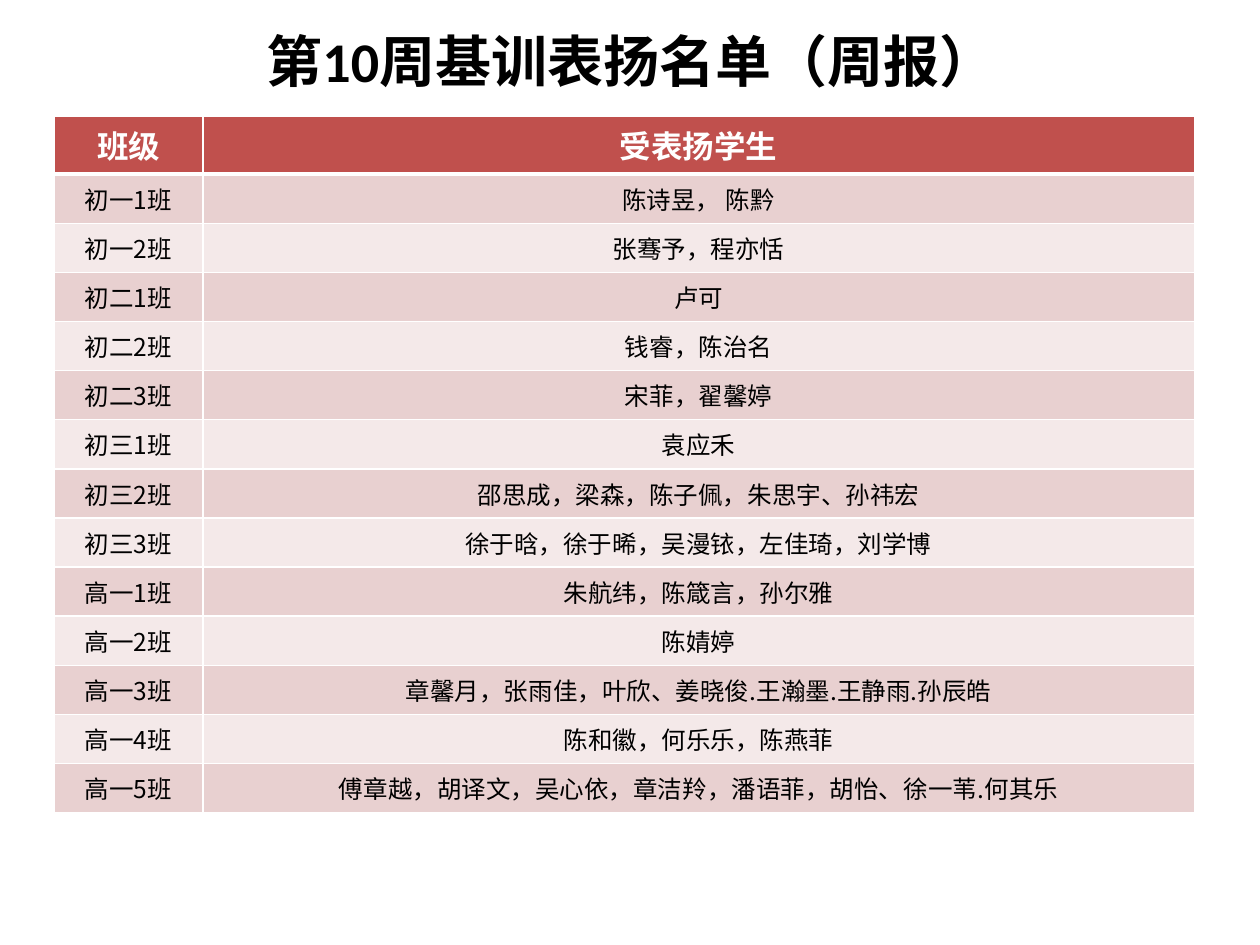
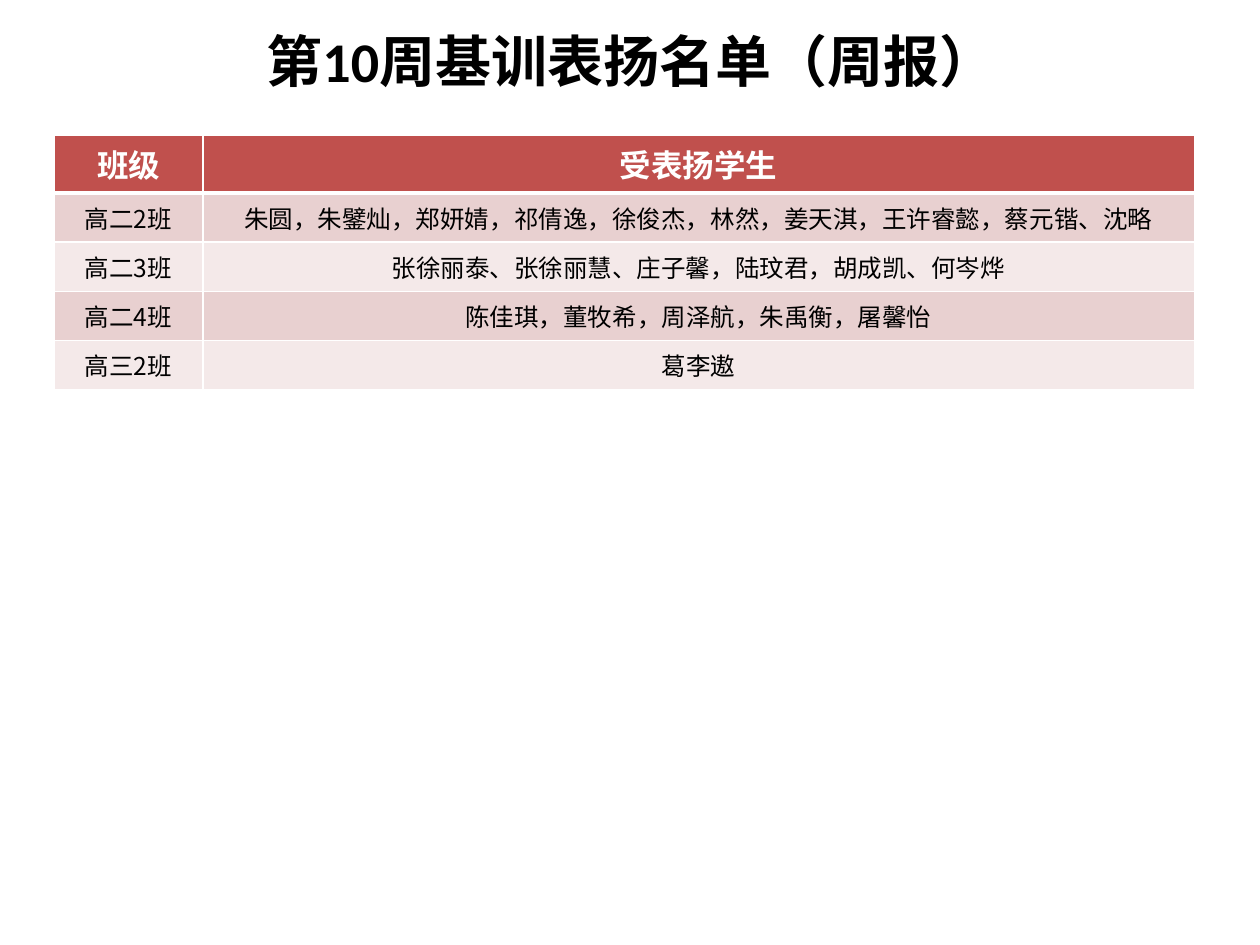
import dataclasses

import lxml.etree
import pptx
import pptx.dml.color
import pptx.enum.text
import pptx.oxml.ns
import pptx.util

Inches = pptx.util.Inches
Pt = pptx.util.Pt


@dataclasses.dataclass(frozen=True)
class Theme:
    """Colours, fonts, type sizes and line widths shared by the slides."""
    black: str = "000000"
    white: str = "FFFFFF"
    header_fill: str = "C0504D"
    band_fills: tuple = ("E8D0D0", "F4E9E9")
    heading_font: str = "Calibri"
    body_font: str = "Noto Sans CJK SC"
    title_size: int = 32
    header_size: int = 18
    body_size: int = 14
    thin_line: int = 1
    thick_line: int = 3


THEME = Theme()
TITLE = "第10周基训表扬名单（周报）"
HEADER = ("班级", "受表扬学生")
TABLE_LEFT = 0.43
COLUMN_WIDTHS = (1.18, 7.87)
HEADER_HEIGHT = 0.41
ROW_HEIGHT = 0.39

# Each slide: top of the table, then class and praised students
PRAISE_LISTS = (
    (0.92, (
        ("初一1班", "陈诗昱， 陈黔"),
        ("初一2班", "张骞予，程亦恬"),
        ("初二1班", "卢可"),
        ("初二2班", "钱睿，陈治名"),
        ("初二3班", "宋菲，翟馨婷"),
        ("初三1班", "袁应禾"),
        ("初三2班", "邵思成，梁森，陈子佩，朱思宇、孙祎宏"),
        ("初三3班", "徐于晗，徐于晞，吴漫铱，左佳琦，刘学博"),
        ("高一1班", "朱航纬，陈箴言，孙尔雅"),
        ("高一2班", "陈婧婷"),
        ("高一3班", "章馨月，张雨佳，叶欣、姜晓俊.王瀚墨.王静雨.孙辰皓"),
        ("高一4班", "陈和徽，何乐乐，陈燕菲"),
        ("高一5班", "傅章越，胡译文，吴心依，章洁羚，潘语菲，胡怡、徐一苇.何其乐"),
    )),
    (1.07, (
        ("高二2班", "朱圆，朱鐾灿，郑妍婧，祁倩逸，徐俊杰，林然，姜天淇，王许睿懿，蔡元锴、沈略"),
        ("高二3班", "张徐丽泰、张徐丽慧、庄子馨，陆玟君，胡成凯、何岑烨"),
        ("高二4班", "陈佳琪，董牧希，周泽航，朱禹衡，屠馨怡"),
        ("高三2班", "葛李遨"),
    )),
)


def rgb(colour):
    return pptx.dml.color.RGBColor.from_string(colour)


def add_child(parent, tag, **attributes):
    return lxml.etree.SubElement(parent, pptx.oxml.ns.qn(tag), attributes)


def set_text(text_frame, text, font_name, size, colour, bold):
    """Write one centred paragraph, with a font for Chinese characters too."""
    text_frame.text = text
    paragraph = text_frame.paragraphs[0]
    paragraph.alignment = pptx.enum.text.PP_ALIGN.CENTER
    for run in paragraph.runs:
        run.font.size = Pt(size)
        run.font.bold = bold
        run.font.color.rgb = rgb(colour)
        run.font.name = font_name
        add_child(run.font._element, "a:ea", typeface=THEME.body_font)


def set_borders(cell, top, bottom):
    properties = cell._tc.get_or_add_tcPr()
    widths = {"L": THEME.thin_line, "R": THEME.thin_line, "T": top, "B": bottom}
    for side, width in widths.items():
        line = add_child(properties, f"a:ln{side}", w=str(Pt(width)))
        fill = add_child(line, "a:solidFill")
        add_child(fill, "a:srgbClr", val=THEME.white)


def fill_cell(cell, colour):
    cell.fill.solid()
    cell.fill.fore_color.rgb = rgb(colour)


def format_header_cell(cell, text):
    set_text(cell.text_frame, text, THEME.heading_font, THEME.header_size,
             THEME.white, True)
    set_borders(cell, THEME.thin_line, THEME.thick_line)
    fill_cell(cell, THEME.header_fill)


def format_body_cell(cell, text, row_index):
    set_text(cell.text_frame, text, THEME.body_font, THEME.body_size,
             THEME.black, False)
    cell.vertical_anchor = pptx.enum.text.MSO_ANCHOR.MIDDLE
    cell.margin_left = cell.margin_right = Inches(0.07)
    cell.margin_top = cell.margin_bottom = 0
    # The heavy line under the header is also the first row's top border
    top = THEME.thick_line if row_index == 0 else THEME.thin_line
    set_borders(cell, top, THEME.thin_line)
    fill_cell(cell, THEME.band_fills[row_index % 2])


def add_title(slide):
    title = slide.shapes.title
    title.left, title.top = Inches(0.51), Inches(0.05)
    title.width, title.height = Inches(9), Inches(0.86)
    title.text_frame.vertical_anchor = pptx.enum.text.MSO_ANCHOR.MIDDLE
    set_text(title.text_frame, TITLE, THEME.heading_font, THEME.title_size,
             THEME.black, True)


def add_praise_table(slide, top, classes):
    height = HEADER_HEIGHT + ROW_HEIGHT * len(classes)
    table = slide.shapes.add_table(
        len(classes) + 1, len(HEADER), Inches(TABLE_LEFT), Inches(top),
        Inches(sum(COLUMN_WIDTHS)), Inches(height)).table
    for column, width in zip(table.columns, COLUMN_WIDTHS):
        column.width = Inches(width)

    # Header row
    table.rows[0].height = Inches(HEADER_HEIGHT)
    for column_index, text in enumerate(HEADER):
        format_header_cell(table.cell(0, column_index), text)

    # Banded rows, one for each class
    for row_index, values in enumerate(classes):
        table.rows[row_index + 1].height = Inches(ROW_HEIGHT)
        for column_index, text in enumerate(values):
            format_body_cell(table.cell(row_index + 1, column_index), text, row_index)


def main():
    presentation = pptx.Presentation()
    presentation.slide_width = Inches(10)
    presentation.slide_height = Inches(7.5)
    title_only = presentation.slide_layouts.get_by_name("Title Only")
    for table_top, classes in PRAISE_LISTS:
        slide = presentation.slides.add_slide(title_only)
        add_title(slide)
        add_praise_table(slide, table_top, classes)
    presentation.save("out.pptx")


if __name__ == "__main__":
    main()
